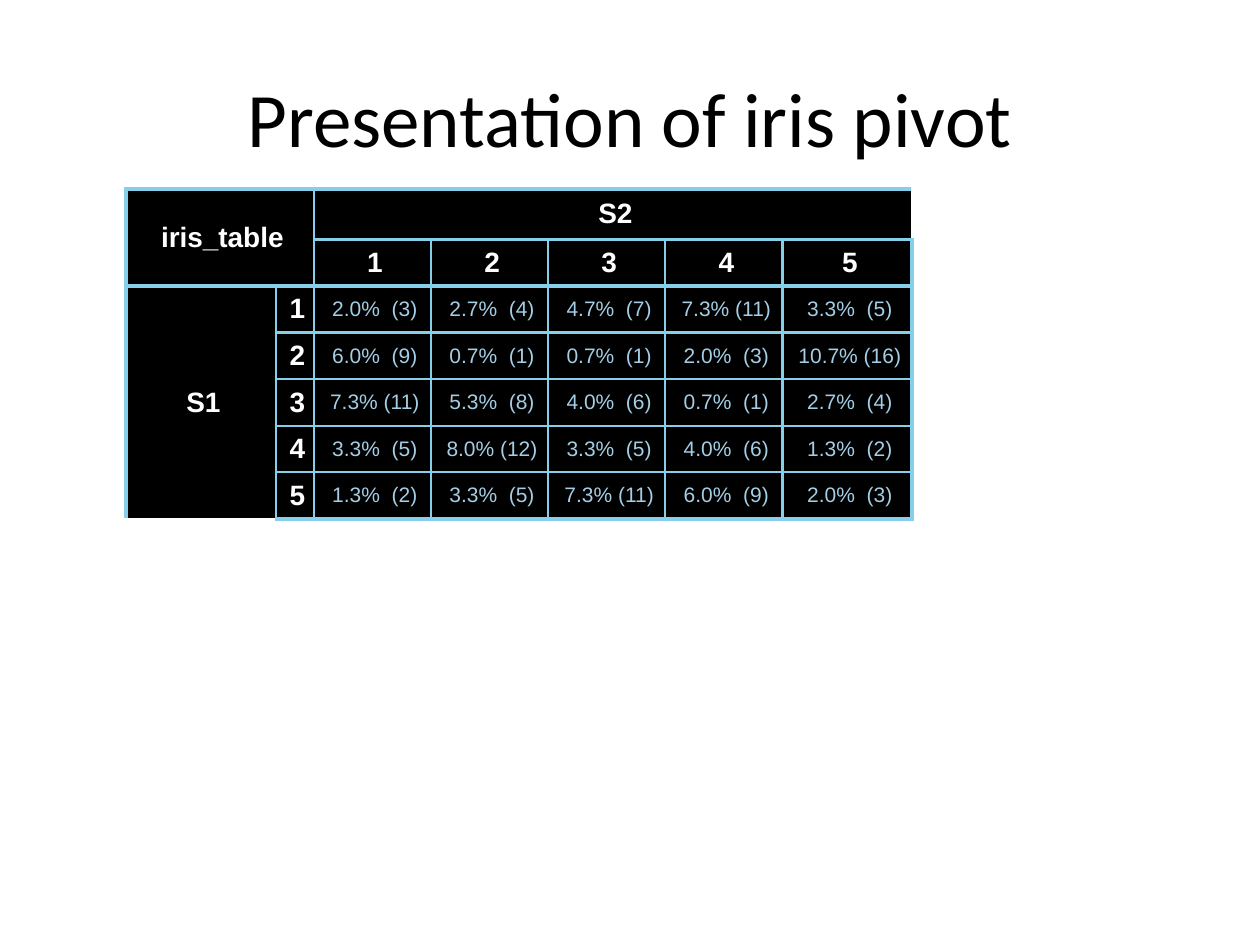
from itertools import product

from lxml import etree
from pptx import Presentation
from pptx.dml.color import RGBColor
from pptx.enum import text
from pptx.oxml import ns
from pptx.util import Inches, Pt

WIDE, HIGH = 10, 7.5
BLACK, WHITE, SKY, PALE = "000000", "FFFFFF", "87CEEB", "A4CEE5"
THIN, THICK = 1.5, 3
COLS = [1.19, 0.3] + [0.93] * 4 + [1.03]
ROWS = [0.4] + [0.37] * 6
HEAD, SIDE = 2, 2  # header rows and label columns
TOTAL = 150
COUNTS = [
    [3, 4, 7, 11, 5],
    [9, 1, 1, 3, 16],
    [11, 8, 6, 1, 4],
    [5, 12, 5, 6, 2],
    [2, 5, 11, 9, 3],
]


def color(code):
    return RGBColor.from_string(code)


def style(para, size, face, code, bold=False):
    para.alignment = text.PP_ALIGN.CENTER
    font = para.font
    font.size, font.name, font.bold = Pt(size), face, bold
    font.color.rgb = color(code)


def title(slide, words):
    box = slide.shapes.add_textbox(
        Inches(0.05 * WIDE), Inches(0.04 * HIGH), Inches(0.9 * WIDE), Inches(HIGH / 6))
    frame = box.text_frame
    frame.word_wrap = True
    frame.vertical_anchor = text.MSO_ANCHOR.MIDDLE
    frame.text = words
    style(frame.paragraphs[0], 44, "Calibri", BLACK)


def border(cell, edges):
    """Draw the given sides; lines stand before the fill, in L R T B order."""
    props = cell._tc.get_or_add_tcPr()
    for spot, (side, width) in enumerate(edges):
        line = etree.Element(ns.qn("a:ln" + side), w=str(Pt(width)))
        fill = etree.SubElement(line, ns.qn("a:solidFill"))
        etree.SubElement(fill, ns.qn("a:srgbClr"), val=SKY)
        props.insert(spot, line)


def block(table, row, col, words, high=1, wide=1, size=16, code=WHITE, bold=True):
    """Fill a cell, or a merged group of cells, and frame its outside."""
    end, last = row + high, col + wide
    first = table.cell(row, col)
    if high * wide > 1:
        first.merge(table.cell(end - 1, last - 1))
    first.text = words

    across = {0: THICK, len(COLS): THICK}
    down = {0: THICK, HEAD: THICK, len(ROWS): THICK}
    for r, c in product(range(row, end), range(col, last)):
        cell = table.cell(r, c)
        cell.fill.solid()
        cell.fill.fore_color.rgb = color(BLACK)
        cell.vertical_anchor = text.MSO_ANCHOR.MIDDLE
        cell.margin_left = cell.margin_right = 0
        cell.margin_top = cell.margin_bottom = 0
        para = cell.text_frame.paragraphs[0]
        style(para, size, "Arial", code, bold)
        para.space_before = para.space_after = Pt(3)
        para._p.get_or_add_pPr().set("marL", str(Inches(0.04)))
        sides = [
            ("L", c == col, across.get(c, THIN)),
            ("R", c + 1 == last, across.get(c + 1, THIN)),
            ("T", r == row, down.get(r, THIN)),
            ("B", r + 1 == end, down.get(r + 1, THIN)),
        ]
        border(cell, [(side, width) for side, outer, width in sides if outer])


def pivot(slide):
    table = slide.shapes.add_table(
        len(ROWS), len(COLS), Inches(0.1 * WIDE), Inches(0.2 * HIGH),
        Inches(sum(COLS)), Inches(sum(ROWS))).table
    table.first_row = table.horz_banding = False
    for col, width in zip(table.columns, COLS):
        col.width = Inches(width)
    for row, height in zip(table.rows, ROWS):
        row.height = Inches(height)

    # Headings
    block(table, 0, 0, "iris_table", high=HEAD, wide=SIDE)
    block(table, 0, SIDE, "S2", wide=5)
    block(table, HEAD, 0, "S1", high=5)
    for i in range(5):
        block(table, 1, SIDE + i, str(i + 1))
        block(table, HEAD + i, 1, str(i + 1))

    # Shares and counts
    for i, j in product(range(5), repeat=2):
        num = COUNTS[i][j]
        words = f"{num / TOTAL:.1%} " + f"({num})".rjust(4)
        block(table, HEAD + i, SIDE + j, words, size=12, code=PALE, bold=False)


def main():
    deck = Presentation()
    deck.slide_width, deck.slide_height = Inches(WIDE), Inches(HIGH)
    slide = deck.slides.add_slide(deck.slide_layouts[6])
    title(slide, "Presentation of iris pivot")
    pivot(slide)
    deck.save("out.pptx")


main()
